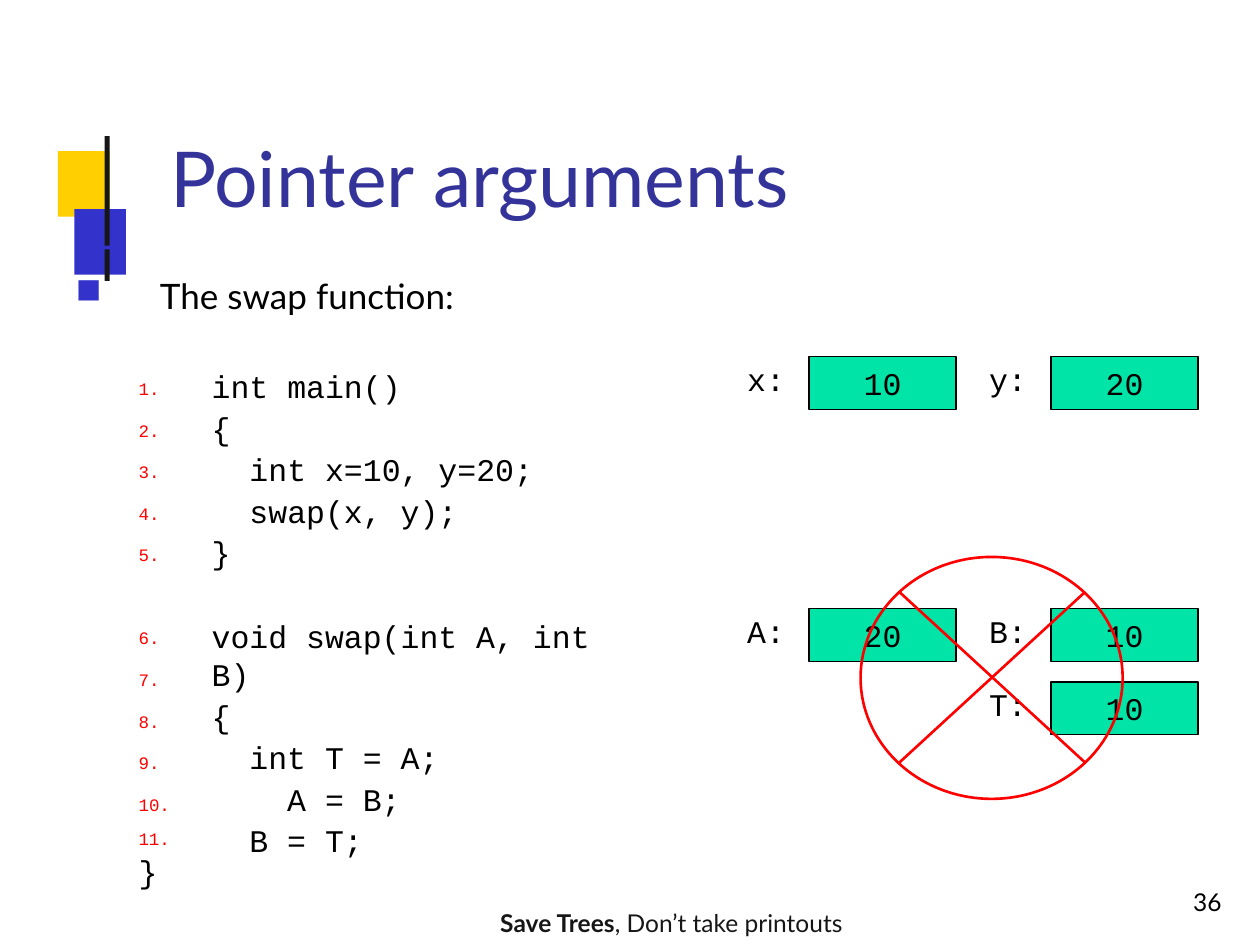
from lxml.etree import SubElement
from pptx import Presentation
from pptx.dml.color import RGBColor
from pptx.enum.shapes import MSO_CONNECTOR as Connector, MSO_SHAPE as Shape
from pptx.enum.text import MSO_ANCHOR as Anchor, PP_ALIGN as Align
from pptx.oxml.ns import qn
from pptx.util import Inches, Pt

COLORS = {
    "black": "000000", "dark": "161616", "yellow": "FFCF01", "blue": "3333CC",
    "title": "333399", "red": "FF0000", "green": "00E4A8",
}
SANS, MONO = "Lato", "Courier New"
MAIN_CODE = ["int main()", "{", "  int x=10, y=20;", "  swap(x, y);", "}"]
SWAP_CODE = ["void swap(int A, int B)", "{", "  int T = A;", "    A = B;", "  B = T;"]
# name, value, left of the name, top of the cell
VARIABLES = [
    ("x:", "10", 5.92, 2.83), ("y:", "20", 7.84, 2.83),
    ("A:", "20", 5.92, 4.83), ("B:", "10", 7.84, 4.83), ("T:", "10", 7.84, 5.41),
]


def rgb(name):
    return RGBColor.from_string(COLORS[name])


def add_span(para, text, size, font=SANS, color="black", bold=False):
    span = para.add_run()
    span.text = text
    span.font.size = Pt(size)
    span.font.name = font
    span.font.bold = bold
    span.font.color.rgb = rgb(color)


def clear_margins(frame, top=0.0):
    frame.margin_left = frame.margin_right = frame.margin_bottom = 0
    frame.margin_top = Inches(top)


def add_box(page, left, top, width, height, inset=0.01, wrap=False):
    """Add an empty text box and return its text frame."""
    box = page.shapes.add_textbox(Inches(left), Inches(top), Inches(width), Inches(height))
    frame = box.text_frame
    clear_margins(frame, inset)
    frame.word_wrap = wrap
    return frame


def add_label(page, text, left, top, width, height, size, font=SANS, color="black"):
    para = add_box(page, left, top, width, height).paragraphs[0]
    add_span(para, text, size, font, color)
    return para


def add_shape(page, kind, left, top, width, height, fill=None, line=None, weight=1):
    shape = page.shapes.add_shape(kind, Inches(left), Inches(top), Inches(width), Inches(height))
    shape.shadow.inherit = False
    if fill:
        shape.fill.solid()
        shape.fill.fore_color.rgb = rgb(fill)
    else:
        shape.fill.background()
    if line:
        shape.line.color.rgb = rgb(line)
        shape.line.width = Pt(weight)
    else:
        shape.line.fill.background()
    return shape


def add_line(page, x1, y1, x2, y2, color, weight):
    line = page.shapes.add_connector(
        Connector.STRAIGHT, Inches(x1), Inches(y1), Inches(x2), Inches(y2))
    line.line.color.rgb = rgb(color)
    line.line.width = Pt(weight)
    SubElement(line._element.spPr, qn("a:effectLst"))


def add_ornament(page):
    add_shape(page, Shape.RECTANGLE, 0.46, 1.2, 0.41, 0.52, "yellow")
    add_shape(page, Shape.RECTANGLE, 0.59, 1.66, 0.41, 0.52, "blue")
    for top, height in ((1.08, 0.87), (1.98, 0.25)):
        add_shape(page, Shape.RECTANGLE, 0.83, top, 0.04, height, "dark")


def add_bullet(page, text):
    para = add_box(page, 0.59, 2.17, 3.04, 0.36).paragraphs[0]
    props = para._p.get_or_add_pPr()
    props.set("marL", str(Inches(0.68)))
    props.set("indent", str(Inches(-0.67)))
    SubElement(SubElement(props, qn("a:buClr")), qn("a:srgbClr"), val=COLORS["blue"])
    SubElement(props, qn("a:buChar"), char="■")
    add_span(para, text, 20)


def add_code(page, lines, top, width):
    frame = add_box(page, 1.68, top, width, 1.68, inset=0.06, wrap=True)
    for index, line in enumerate(lines):
        para = frame.paragraphs[0] if index == 0 else frame.add_paragraph()
        para.line_spacing = Pt(22)
        if index:
            para.space_before = Pt(1.7)
        add_span(para, line, 18, MONO)


def add_line_numbers(page):
    for number in range(1, 11):
        row = number - 1 if number <= len(MAIN_CODE) else number
        add_label(page, f"{number}.", 1.1, 2.99 + 0.33 * row, 0.28, 0.19, 10, MONO, "red")


def add_last_line(page):
    frame = add_box(page, 1.1, 6.56, 0.76, 0.46)
    add_span(frame.paragraphs[0], "11.", 10, MONO, "red")
    brace = frame.add_paragraph()
    brace.space_before = Pt(2)
    add_span(brace, "}", 18, MONO)


def add_variable(page, name, value, left, top):
    """Add a name and the memory cell that holds its value."""
    add_label(page, name, left + 0.01, top + 0.02, 0.33, 0.33, 18, MONO)
    cell = add_shape(page, Shape.RECTANGLE, left + 0.5, top, 1.17, 0.42, "green", "black")
    frame = cell.text_frame
    clear_margins(frame)
    frame.vertical_anchor = Anchor.MIDDLE
    frame.paragraphs[0].alignment = Align.CENTER
    add_span(frame.paragraphs[0], value, 18, MONO)


def add_cross_out(page):
    left, top, right, bottom = 7.14, 4.7, 8.61, 6.05
    add_line(page, left, top, right, bottom, "red", 1.5)
    add_line(page, right, top, left, bottom, "red", 1.5)
    add_shape(page, Shape.OVAL, 6.83, 4.42, 2.08, 1.92, line="red", weight=1.5)


def main():
    deck = Presentation()
    deck.slide_width, deck.slide_height = Inches(10), Inches(7.5)
    page = deck.slides.add_slide(deck.slide_layouts[6])

    add_ornament(page)
    add_label(page, "Pointer arguments", 1.35, 1.03, 4.98, 0.76, 44, color="title")
    add_bullet(page, "The swap function:")
    add_line_numbers(page)
    add_code(page, MAIN_CODE, 2.85, 3.81)
    add_code(page, SWAP_CODE, 4.83, 3.4)
    add_last_line(page)
    for variable in VARIABLES:
        add_variable(page, *variable)
    add_cross_out(page)
    add_label(page, "36", 9.47, 7.03, 0.26, 0.26, 14)
    footer = add_box(page, 3.97, 7.2, 2.91, 0.26).paragraphs[0]
    add_span(footer, "Save Trees", 14, color="dark", bold=True)
    add_span(footer, ", Don’t take printouts", 14, color="dark")

    deck.save("out.pptx")


if __name__ == "__main__":
    main()
